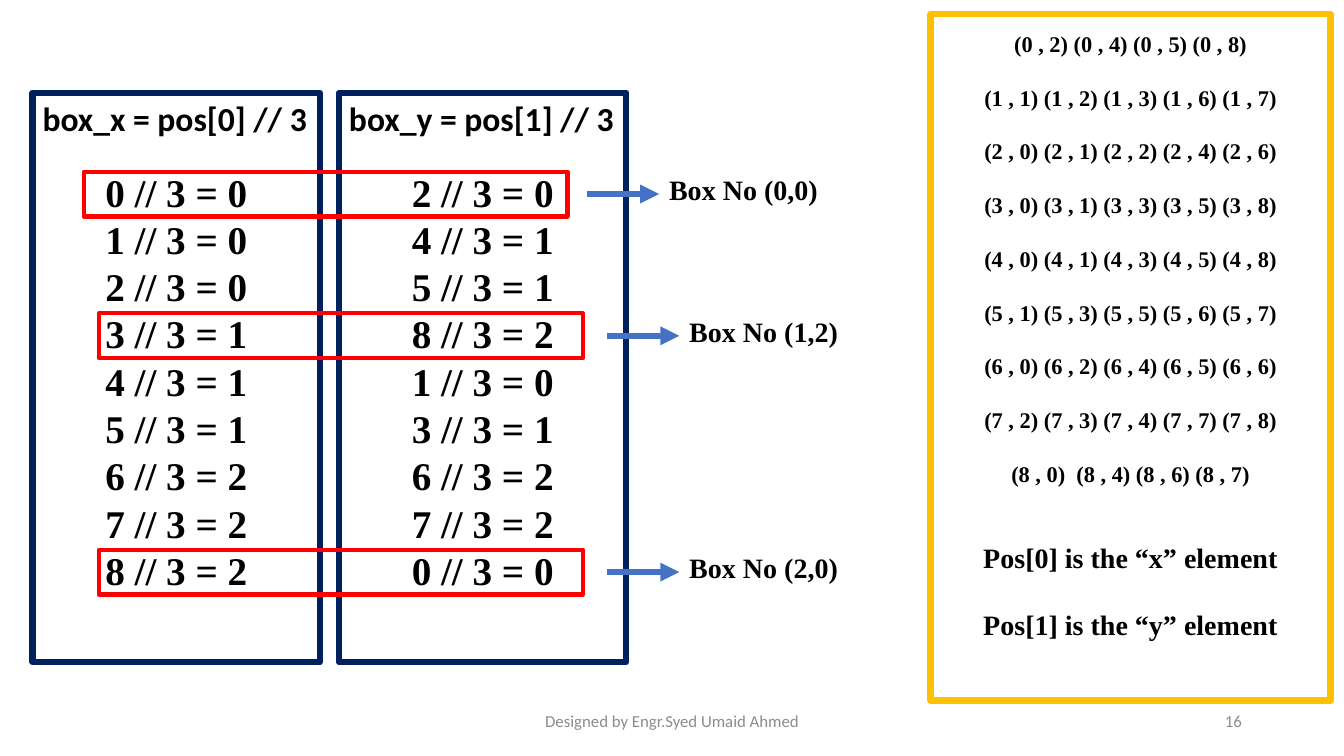
from lxml.etree import SubElement
from pptx import Presentation
from pptx.dml.color import RGBColor
from pptx.enum.shapes import MSO_CONNECTOR, MSO_SHAPE
from pptx.enum.text import MSO_ANCHOR, PP_ALIGN
from pptx.oxml.ns import qn
from pptx.util import Pt

SERIF, SANS = "Times New Roman", "Calibri"
NAVY, GOLD, RED, BLUE, BLACK, GREY = "002060", "FFC000", "FF0000", "4472C4", "000000", "8C8C8C"

FOOTER, PAGE = "Designed by Engr.Syed Umaid Ahmed", "16"
# heading, position values that are divided by 3
COLUMNS = [
    ("box_x = pos[0] // 3", [0, 1, 2, 3, 4, 5, 6, 7, 8]),
    ("box_y = pos[1] // 3", [2, 4, 5, 8, 1, 3, 6, 7, 0]),
]
# label, row, frame left, arrow left
HIGHLIGHTS = [
    ("Box No (0,0)", 0, 59.8, 419),
    ("Box No (1,2)", 3, 70.6, 433.4),
    ("Box No (2,0)", 8, 70.6, 433.4),
]
POSITIONS = [
    "(0 , 2) (0 , 4) (0 , 5) (0 , 8)",
    "(1 , 1) (1 , 2) (1 , 3) (1 , 6) (1 , 7)",
    "(2 , 0) (2 , 1) (2 , 2) (2 , 4) (2 , 6)",
    "(3 , 0) (3 , 1) (3 , 3) (3 , 5) (3 , 8)",
    "(4 , 0) (4 , 1) (4 , 3) (4 , 5) (4 , 8)",
    "(5 , 1) (5 , 3) (5 , 5) (5 , 6) (5 , 7)",
    "(6 , 0) (6 , 2) (6 , 4) (6 , 5) (6 , 6)",
    "(7 , 2) (7 , 3) (7 , 4) (7 , 7) (7 , 8)",
    "(8 , 0)  (8 , 4) (8 , 6) (8 , 7)",
]
NOTES = ["Pos[0] is the “x” element", "Pos[1] is the “y” element"]

COLUMN_LEFT, COLUMN_STEP = 23.3, 218.9
FIRST_ROW, ROW_STEP = 138.6, 33.75  # middle of the first row, row pitch
HIGHLIGHT_WIDTH, HIGHLIGHT_HEIGHT = 345.6, 32
ARROW_LENGTH = 51.8
LEFT, CENTER, RIGHT = PP_ALIGN.LEFT, PP_ALIGN.CENTER, PP_ALIGN.RIGHT


def rgb(color):
    return RGBColor.from_string(color)


def add_text(tf, text, size=16, font=SERIF, color=BLACK, bold=True,
             align=CENTER, line=None, after=0):
    """Append a paragraph, filling the first one if it is still empty."""
    p = tf.paragraphs[0] if not tf.text else tf.add_paragraph()
    p.alignment = align
    p.space_after = Pt(after)
    if line:
        p.line_spacing = Pt(line)
    r = p.add_run()
    r.text = text
    r.font.size, r.font.name, r.font.bold = Pt(size), font, bold
    r.font.color.rgb = rgb(color)


def add_box(s, x, y, w, h, wrap=True, anchor=MSO_ANCHOR.TOP):
    tf = s.shapes.add_textbox(Pt(x), Pt(y), Pt(w), Pt(h)).text_frame
    tf.word_wrap, tf.vertical_anchor = wrap, anchor
    return tf


def add_frame(s, x, y, w, h, color, weight):
    """Add an unfilled outlined rectangle and return its text frame."""
    sp = s.shapes.add_shape(MSO_SHAPE.RECTANGLE, Pt(x), Pt(y), Pt(w), Pt(h))
    sp.shadow.inherit = False
    sp.fill.background()
    sp.line.color.rgb, sp.line.width = rgb(color), Pt(weight)
    tf = sp.text_frame
    tf.word_wrap, tf.vertical_anchor = False, MSO_ANCHOR.TOP
    return tf


def add_arrow(s, x, y, length):
    cn = s.shapes.add_connector(MSO_CONNECTOR.STRAIGHT, Pt(x), Pt(y), Pt(x + length), Pt(y))
    cn.line.color.rgb, cn.line.width = rgb(BLUE), Pt(4.5)
    SubElement(cn.line._get_or_add_ln(), qn("a:tailEnd"), type="triangle")
    SubElement(cn._element.spPr, qn("a:effectLst"))


def main():
    prs = Presentation()
    prs.slide_width, prs.slide_height = Pt(960), Pt(540)
    s = prs.slides.add_slide(prs.slide_layouts[6])

    for text, x, w, align in [(FOOTER, 318.2, 324, CENTER), (PAGE, 678.2, 216, RIGHT)]:
        tf = add_box(s, x, 500.4, w, 28.8, anchor=MSO_ANCHOR.MIDDLE)
        add_text(tf, text, size=12, font=SANS, color=GREY, bold=False, align=align)

    tf = add_box(s, 679, 18, 257, 448.6)
    for text in POSITIONS:
        add_text(tf, text, line=19.2, after=38.4 if text == POSITIONS[-1] else 19.2)
    for text in NOTES:
        add_text(tf, text, size=20, line=24, after=24)
    add_frame(s, 664.6, 10.1, 285.8, 490.3, GOLD, 4.5)

    for i, (heading, values) in enumerate(COLUMNS):
        tf = add_frame(s, COLUMN_LEFT + i * COLUMN_STEP, 66.2, 205.2, 406.8, NAVY, 4.5)
        add_text(tf, heading, size=24, font=SANS, align=LEFT, after=21.3)
        for n in values:
            add_text(tf, f"{n} // 3 = {n // 3}", size=28, line=ROW_STEP)

    for label, row, x, arrow_x in HIGHLIGHTS:
        middle = FIRST_ROW + row * ROW_STEP
        add_frame(s, x, middle - HIGHLIGHT_HEIGHT / 2, HIGHLIGHT_WIDTH, HIGHLIGHT_HEIGHT, RED, 3)
        add_arrow(s, arrow_x, middle, ARROW_LENGTH)
        tf = add_box(s, arrow_x + ARROW_LENGTH, middle - 18.7, 121.7, 31.7, wrap=False)
        add_text(tf, label, size=20, align=LEFT, line=24)

    prs.save("out.pptx")


if __name__ == "__main__":
    main()
